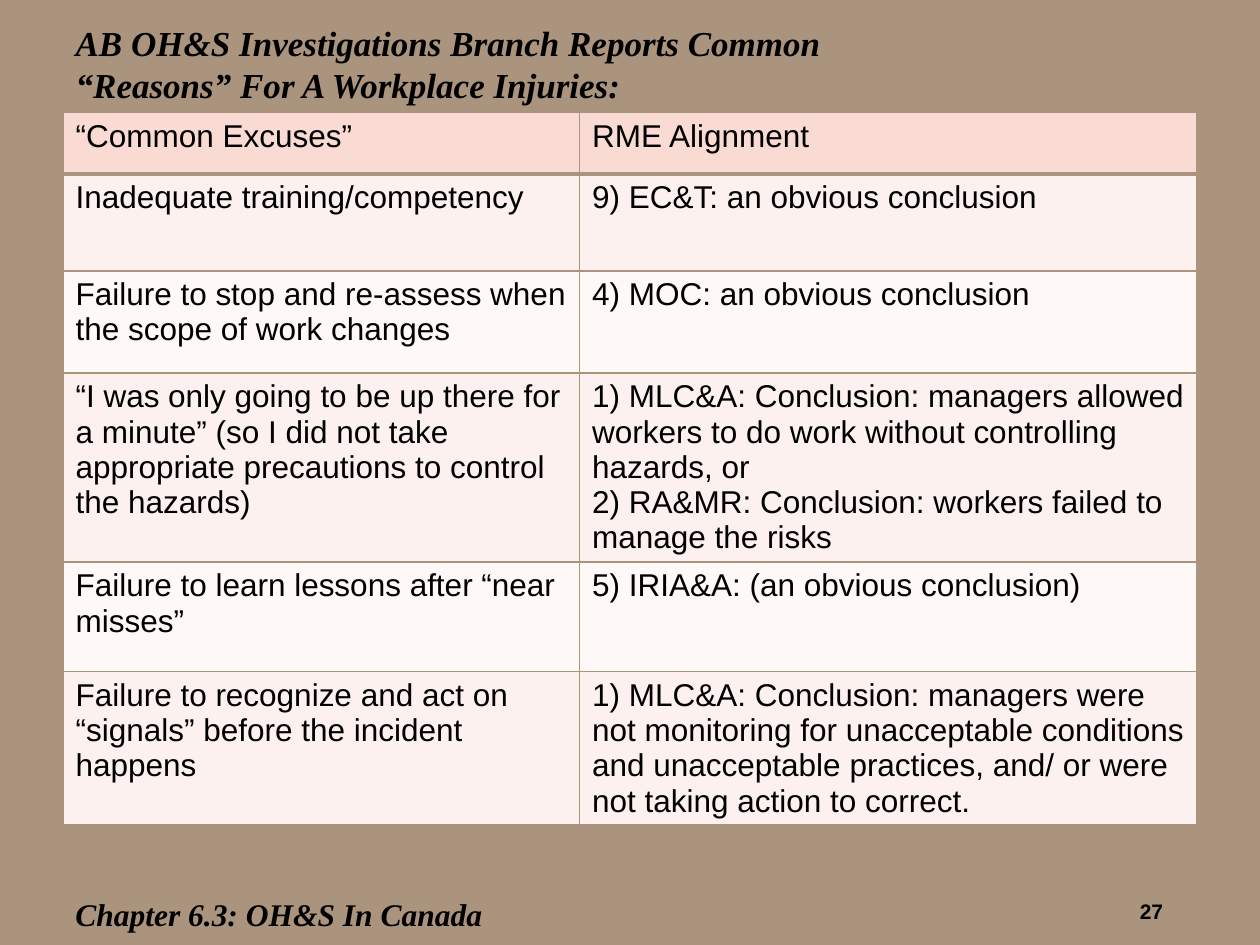
"""Build the slide that aligns common injury excuses with risk management elements."""
from typing import NamedTuple

from lxml.etree import SubElement
from pptx import Presentation
from pptx.dml.color import RGBColor
from pptx.enum.text import MSO_ANCHOR as Anchor, MSO_AUTO_SIZE as AutoSize, PP_ALIGN as Align
from pptx.oxml.ns import qn
from pptx.util import Inches, Pt

WIDTH, HEIGHT = Inches(10), Inches(7.5)
COLOURS = {
    "background": "AA947E",
    "text": "000000",
    "header": "F9DBD3",
    "odd": "FDF1EF",
    "even": "FEF8F7",
}
COLUMN_INCHES = (4.1, 4.9)


class Area(NamedTuple):
    """Left, top, width and height as percentages of the slide."""
    left: float
    top: float
    width: float
    height: float

    def lengths(self) -> tuple[int, ...]:
        sides = (WIDTH, HEIGHT, WIDTH, HEIGHT)
        return tuple(round(share * side / 100) for share, side in zip(self, sides))


class Style(NamedTuple):
    font: str
    size: int
    bold: bool = False
    italic: bool = False
    align: Align = Align.LEFT


class Label(NamedTuple):
    text: str
    area: Area
    style: Style
    anchor: Anchor = Anchor.MIDDLE


class Row(NamedTuple):
    inches: float
    excuse: str
    alignment: str


TITLE = Label(
    "AB OH&S Investigations Branch Reports Common \v“Reasons” For A Workplace Injuries:",
    Area(5, 2.67, 90, 8),
    Style("Times New Roman", 20, True, True),
)
LABELS = (
    Label("27", Area(83.3, 94.4, 10, 3.33), Style("Arial", 12, True, align=Align.RIGHT), Anchor.TOP),
    Label("Chapter 6.3: OH&S In Canada", Area(5, 93.33, 45, 6.67),
          Style("Times New Roman", 18, True, True)),
)
TABLE_AREA = Area(5, 11.87, 90, 70.67)
CELL_STYLE = Style("Arial", 18)
ROWS = (
    Row(0.49, "“Common Excuses”", "RME Alignment"),
    Row(0.77, "Inadequate training/competency", "9) EC&T: an obvious conclusion"),
    Row(0.81, "Failure to stop and re-assess when the scope of work changes",
        "4) MOC: an obvious conclusion"),
    Row(1.18, "“I was only going to be up there for a minute” (so I did not take "
        "appropriate precautions to control the hazards)",
        "1) MLC&A: Conclusion: managers allowed workers to do work without controlling hazards, or\n"
        "2) RA&MR: Conclusion: workers failed to manage the risks"),
    Row(0.87, "Failure to learn lessons after “near misses”", "5) IRIA&A: (an obvious conclusion)"),
    Row(1.18, "Failure to recognize and act on “signals” before the incident happens",
        "1) MLC&A: Conclusion: managers were not monitoring for unacceptable conditions and "
        "unacceptable practices, and/ or were not taking action to correct."),
)


def colour(name: str) -> RGBColor:
    return RGBColor.from_string(COLOURS[name])


def write(frame, text: str, style: Style) -> None:
    frame.text = text
    for paragraph in frame.paragraphs:
        paragraph.alignment = style.align
        font = paragraph.font
        font.name, font.size = style.font, Pt(style.size)
        font.bold, font.italic = style.bold, style.italic
        font.color.rgb = colour("text")


def place(shape, label: Label) -> None:
    shape.left, shape.top, shape.width, shape.height = label.area.lengths()
    frame = shape.text_frame
    frame.word_wrap, frame.auto_size = True, AutoSize.NONE
    frame.vertical_anchor = label.anchor
    write(frame, label.text, label.style)


def set_borders(cell, bottom: float) -> None:
    properties = cell._tc.get_or_add_tcPr()
    for side, points in (("L", 1), ("R", 1), ("T", 1), ("B", bottom)):
        line = SubElement(properties, qn(f"a:ln{side}"), w=str(Pt(points)))
        fill = SubElement(line, qn("a:solidFill"))
        SubElement(fill, qn("a:srgbClr"), val=COLOURS["background"])


def add_excuse_table(slide) -> None:
    table = slide.shapes.add_table(len(ROWS), len(COLUMN_INCHES), *TABLE_AREA.lengths()).table
    for column, inches in zip(table.columns, COLUMN_INCHES):
        column.width = Inches(inches)
    for index, row in enumerate(ROWS):
        table.rows[index].height = Inches(row.inches)
        band = "header" if index == 0 else ("even", "odd")[index % 2]
        for cell, text in zip(table.rows[index].cells, (row.excuse, row.alignment)):
            set_borders(cell, bottom=3 if index == 0 else 1)
            cell.fill.solid()
            cell.fill.fore_color.rgb = colour(band)
            write(cell.text_frame, text, CELL_STYLE)


def main() -> None:
    presentation = Presentation()
    presentation.slide_width, presentation.slide_height = WIDTH, HEIGHT
    slide = presentation.slides.add_slide(presentation.slide_layouts.get_by_name("Title Only"))
    slide.background.fill.solid()
    slide.background.fill.fore_color.rgb = colour("background")
    place(slide.shapes.title, TITLE)
    for label in LABELS:
        place(slide.shapes.add_textbox(*label.area.lengths()), label)
    add_excuse_table(slide)
    presentation.save("out.pptx")


if __name__ == "__main__":
    main()
